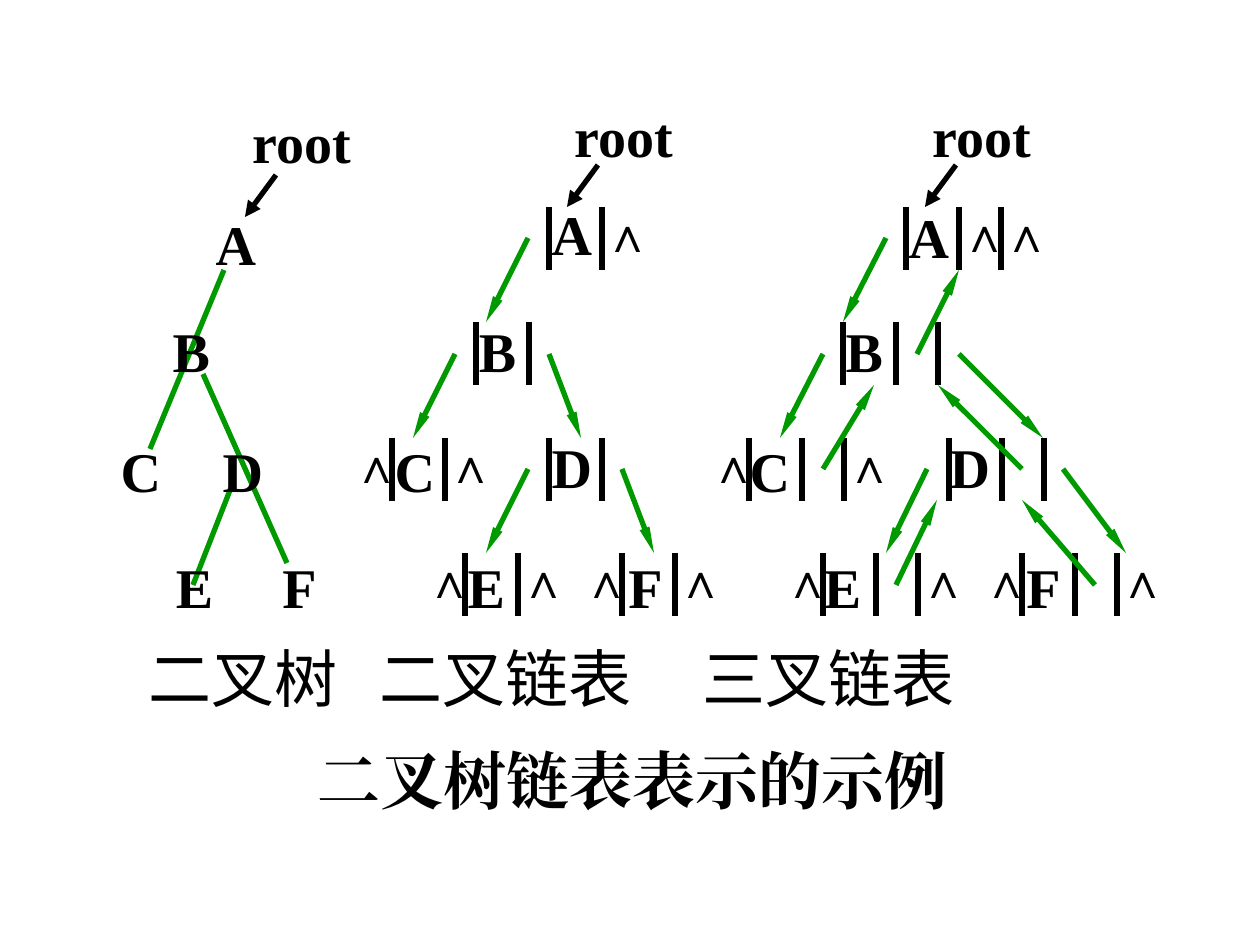
"""Build a slide comparing a binary tree with its two-link and three-link node lists."""
from lxml.etree import SubElement
from pptx import Presentation
from pptx.dml.color import RGBColor
from pptx.enum.shapes import MSO_CONNECTOR
from pptx.enum.text import MSO_ANCHOR, MSO_AUTO_SIZE, PP_ALIGN
from pptx.oxml.ns import qn
from pptx.util import Emu, Pt

PX = 914400 / 126
BLACK, GREEN = "000000", "009900"
SERIF, SANS = "Times New Roman", "Noto Sans CJK SC"
BAR_HEIGHT = 63


def add_line(slide, points, color, head=None):
    ends = [Emu(round(value * PX)) for value in points]
    line = slide.shapes.add_connector(MSO_CONNECTOR.STRAIGHT, *ends)
    line.line.color.rgb = RGBColor.from_string(color)
    line.line.width = Pt(3)
    if head:
        width, length = head
        SubElement(line.line._get_or_add_ln(), qn("a:tailEnd"), type="triangle", w=width, len=length)
    SubElement(line._element.spPr, qn("a:effectLst"))


def fill_box(box, frame, text, size, font=SERIF, bold=True, align=PP_ALIGN.CENTER,
             anchor=MSO_ANCHOR.MIDDLE, wrap=False):
    box.left, box.top, box.width, box.height = [Emu(round(value * PX)) for value in frame]
    box.text_frame.text = text
    box.text_frame.word_wrap = wrap
    box.text_frame.auto_size = MSO_AUTO_SIZE.SHAPE_TO_FIT_TEXT
    box.text_frame.vertical_anchor = anchor
    para = box.text_frame.paragraphs[0]
    para.alignment = align
    for span in para.runs:
        span.font.name = font
        span.font.size = Pt(size)
        span.font.bold = bold
        span.font.color.rgb = RGBColor.from_string(BLACK)
        SubElement(span.font._element, qn("a:ea"), typeface=font)
    return para


deck = Presentation()
deck.slide_width, deck.slide_height = Emu(round(1260 * PX)), Emu(round(945 * PX))
page = deck.slides.add_slide(deck.slide_layouts[5])

fill_box(page.shapes.title, (305, 735, 672, 88), "二叉树链表表示的示例", 36,
         align=PP_ALIGN.LEFT, anchor=MSO_ANCHOR.TOP, wrap=True)

tree_edges = [(234, 480, 193, 585), (203, 374, 287, 563), (224, 270, 150, 449)]
for edge in tree_edges:
    add_line(page, edge, GREEN)

# letter, bar left, bar top, bar offsets, caret offsets, letter left, letter top
TWO_LINKS, THREE_LINKS = (0, 53), (0, 53, 95)
BEFORE, AFTER_TWO, AFTER_THREE = -52, 42, 84
nodes = [
    ("A", 549, 207, TWO_LINKS, (AFTER_TWO,), 539, 194),
    ("B", 476, 322, TWO_LINKS, (), 466, 311),
    ("C", 392, 438, TWO_LINKS, (BEFORE, AFTER_TWO), 382, 431),
    ("D", 549, 438, TWO_LINKS, (), 539, 427),
    ("E", 465, 553, TWO_LINKS, (BEFORE, AFTER_TWO), 455, 547),
    ("F", 622, 553, TWO_LINKS, (BEFORE, AFTER_TWO), 616, 547),
    ("A", 906, 207, THREE_LINKS, (AFTER_TWO, AFTER_THREE), 896, 197),
    ("B", 843, 322, THREE_LINKS, (), 833, 311),
    ("C", 749, 438, THREE_LINKS, (BEFORE, AFTER_THREE), 737, 431),
    ("D", 949, 438, THREE_LINKS, (), 937, 427),
    ("E", 823, 553, THREE_LINKS, (BEFORE, AFTER_THREE), 811, 547),
    ("F", 1022, 553, THREE_LINKS, (BEFORE, AFTER_THREE), 1014, 547),
]
for letter, left, top, bars, carets, letter_left, letter_top in nodes:
    for offset in bars:
        add_line(page, (left + offset, top, left + offset, top + BAR_HEIGHT), BLACK)

child_links = [
    (528, 238, 486, 322), (455, 354, 413, 438), (528, 469, 486, 553),
    (549, 354, 581, 438), (622, 469, 654, 553),
    (886, 238, 843, 322), (823, 354, 780, 438), (927, 469, 886, 553),
    (959, 354, 1043, 438), (1063, 469, 1126, 553),
]
parent_links = [
    (1022, 469, 938, 385), (1095, 585, 1022, 500), (917, 354, 959, 270),
    (896, 585, 937, 500), (823, 469, 874, 385),
]
for link in child_links + parent_links:
    add_line(page, link, GREEN, ("sm", "lg"))

letters = [("A", 203, 204), ("B", 160, 311), ("C", 108, 431),
           ("D", 210, 431), ("E", 163, 547), ("F", 270, 547)]
for letter, left, top, bars, carets, letter_left, letter_top in nodes:
    letters.append((letter, letter_left, letter_top))
    for offset in carets:
        box = page.shapes.add_textbox(0, 0, 0, 0)
        fill_box(box, (left + offset, top - 10, 56, 72), "∧", 28)

letter_widths = {"A": 66, "B": 63, "C": 66, "D": 66, "E": 63, "F": 59}
for letter, left, top in letters:
    box = page.shapes.add_textbox(0, 0, 0, 0)
    fill_box(box, (left, top, letter_widths[letter], 79), letter, 32)

for left, top, arrow_top in [(239, 102, 175), (561, 96, 165), (919, 96, 165)]:
    add_line(page, (left + 37, arrow_top, left + 6, arrow_top + 42), BLACK, ("med", "med"))
    box = page.shapes.add_textbox(0, 0, 0, 0)
    fill_box(box, (left, top, 125, 79), "root", 32)

captions = page.shapes.add_textbox(0, 0, 0, 0)
para = fill_box(captions, (136, 633, 970, 88), "二叉树\t二叉链表\t三叉链表", 36,
                font=SANS, bold=False, align=PP_ALIGN.LEFT, wrap=True)
tabs = SubElement(para._p.get_or_add_pPr(), qn("a:tabLst"))
for stop in (231, 554):
    SubElement(tabs, qn("a:tab"), pos=str(round(stop * PX)), algn="l")

deck.save("out.pptx")
